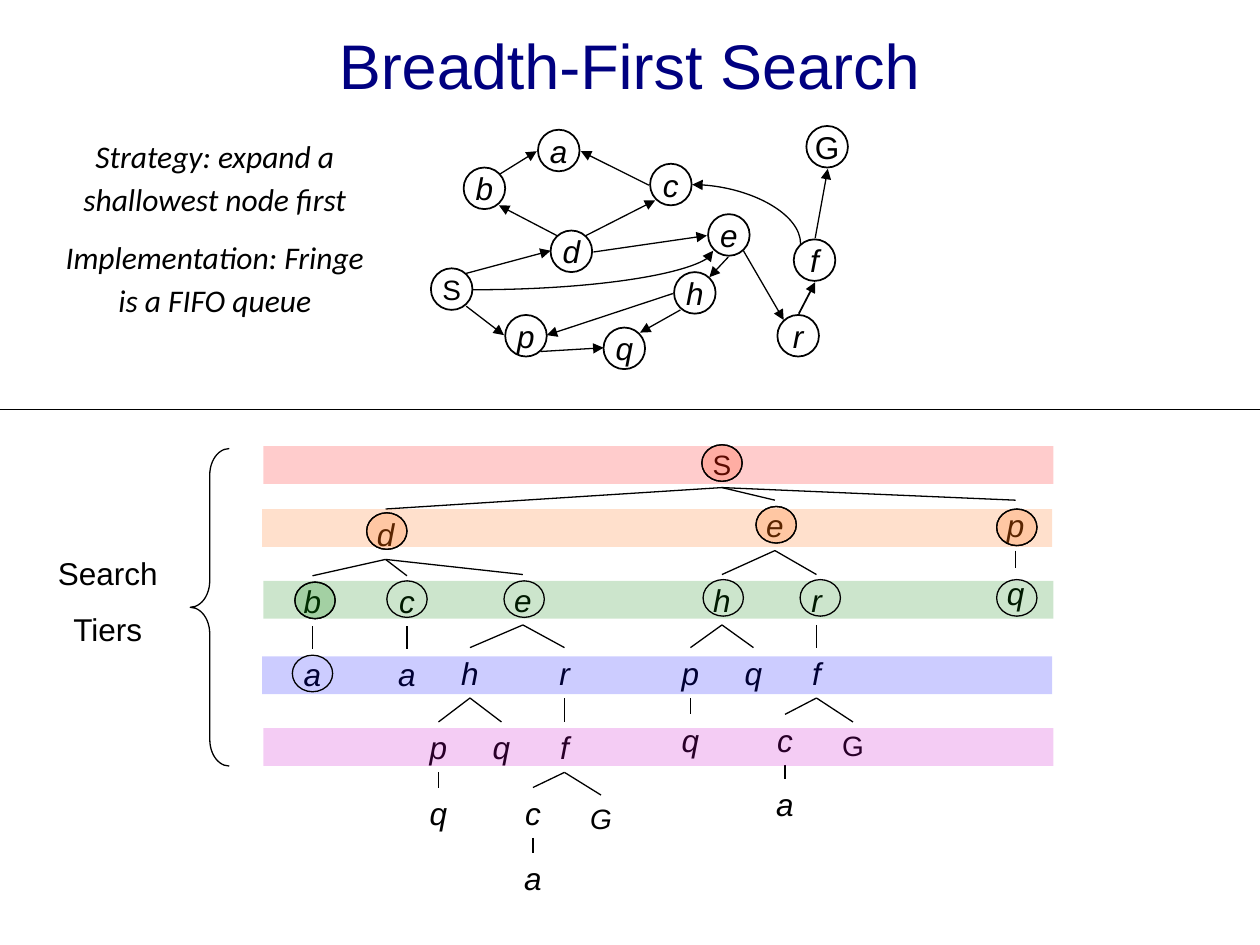
from pptx import Presentation
from pptx.dml.color import RGBColor
from pptx.enum.shapes import MSO_CONNECTOR, MSO_SHAPE
from pptx.enum.text import MSO_ANCHOR, PP_ALIGN
from pptx.oxml.ns import qn
from pptx.util import Cm, Pt
from lxml.etree import SubElement

HUES = {"ink": "000000", "title": "000080", "red": "FF0000", "rose": "FF3300",
        "orange": "FF6600", "green": "008000", "blue": "0000FF", "pink": "CC00CC"}


def inch(*nums):
    return [Cm(2.54 * n) for n in nums]


def hue(name):
    return RGBColor.from_string(HUES[name])


class Deck:
    font = "Arial"
    tint = 20  # opacity of overlays, percent

    def __init__(self):
        self.prs = Presentation()
        self.prs.slide_width, self.prs.slide_height = inch(10, 7.5)
        self.slide = self.prs.slides.add_slide(self.prs.slide_layouts[6])
        self.shapes = self.slide.shapes

    def label(self, frame, lines, look, wrap=True, mid=False, para=None):
        frame.word_wrap = wrap
        frame.vertical_anchor = MSO_ANCHOR.MIDDLE if mid else MSO_ANCHOR.TOP
        for i, line in enumerate(lines):
            p = frame.paragraphs[0] if i == 0 else frame.add_paragraph()
            for name, val in {"alignment": PP_ALIGN.CENTER, **(para or {})}.items():
                setattr(p, name, val)
            run = p.add_run()
            run.text = line
            style = {"name": self.font, "size": Pt(18), "italic": False, **look}
            for name, val in style.items():
                if name == "color":
                    run.font.color.rgb = hue(val)
                else:
                    setattr(run.font, name, val)

    def text(self, at, lines, look=None, mid=False, para=None):
        box = self.shapes.add_textbox(*inch(*at))
        self.label(box.text_frame, lines, {"color": "ink", **(look or {})},
                   mid=mid, para=para)
        return box

    def shape(self, kind, at, fill=None, width=0.75):
        item = self.shapes.add_shape(kind, *inch(*at))
        item.shadow.inherit = False
        if fill:
            item.fill.solid()
            item.fill.fore_color.rgb = hue(fill)
            clr = item._element.spPr.find(".//" + qn("a:srgbClr"))
            SubElement(clr, qn("a:alpha")).set("val", str(self.tint * 1000))
        else:
            item.fill.background()
        if width:
            item.line.color.rgb = hue("ink")
            item.line.width = Pt(width)
        else:
            item.line.fill.background()
        return item

    def node(self, name, x, y):
        item = self.shape(MSO_SHAPE.FLOWCHART_CONNECTOR, (x, y, 0.33, 0.33), width=1)
        look = {"color": "ink", "italic": name.islower()}
        if name == "S":
            look["size"] = Pt(16)
        self.label(item.text_frame, [name], look, wrap=False, mid=True)

    def line(self, ends, head=False, width=0.75, kind=MSO_CONNECTOR.STRAIGHT):
        link = self.shapes.add_connector(kind, *inch(*ends))
        link.line.color.rgb = hue("ink")
        link.line.width = Pt(width)
        props = link._element.spPr
        if head:
            SubElement(props.find(qn("a:ln")), qn("a:tailEnd")).set("type", "triangle")
        SubElement(props, qn("a:effectLst"))
        return link

    def curve(self, ends, turn=0):
        props = self.line(ends, head=True, kind=MSO_CONNECTOR.CURVE)._element.spPr
        props.find(qn("a:prstGeom")).set("prst", "curvedConnector2")
        props.find(qn("a:xfrm")).set("rot", str(turn * 60000))

    def join(self, top, low):
        link = self.line((0, 0, 1, 1))
        link.begin_connect(top, 2)
        link.end_connect(low, 0)


# State graph: circle corners, then arrow ends
NODES = {
    "S": (3.42, 2.13), "G": (6.4, 1), "d": (4.37, 1.83), "b": (3.68, 1.33),
    "p": (4.01, 2.5), "q": (4.79, 2.6), "c": (5.16, 1.3), "e": (5.62, 1.7),
    "h": (5.35, 2.16), "a": (4.27, 1.03), "f": (6.3, 1.9), "r": (6.17, 2.5),
}
ARROWS = [
    (3.7, 2.43, 4, 2.66), (4.29, 2.79, 4.79, 2.76), (5.4, 2.46, 5.08, 2.64),
    (5.34, 2.33, 4.34, 2.66), (5.78, 2.04, 5.63, 2.2), (5.9, 1.99, 6.22, 2.54),
    (6.47, 1.89, 6.57, 1.34), (3.7, 2.17, 4.37, 1.99), (4.42, 1.87, 3.96, 1.63),
    (3.97, 1.38, 4.26, 1.2), (5.15, 1.47, 4.61, 1.2), (4.65, 1.87, 5.2, 1.59),
    (4.71, 2, 5.61, 1.87),
]

# Search tree: each key is the route from the root; values are centre and top
TREE = {
    "S": (5.73, 3.5),
    "Sd": (3.06, 4.04), "Se": (6.15, 3.97), "Sp": (8.06, 3.97),
    "Sdb": (2.48, 4.57), "Sdc": (3.23, 4.57), "Sde": (4.15, 4.56),
    "Seh": (5.73, 4.56), "Ser": (6.48, 4.56), "Spq": (8.06, 4.51),
    "Sdba": (2.48, 5.15), "Sdca": (3.23, 5.15), "Sdeh": (3.73, 5.14),
    "Sder": (4.48, 5.14), "Sehp": (5.48, 5.14), "Sehq": (5.98, 5.14),
    "Serf": (6.48, 5.14),
    "Sdehp": (3.48, 5.73), "Sdehq": (3.98, 5.73), "Sderf": (4.48, 5.73),
    "Sehpq": (5.48, 5.67), "Serfc": (6.23, 5.67), "SerfG": (6.77, 5.73),
    "Sdehpq": (3.48, 6.25), "Sderfc": (4.23, 6.25), "SderfG": (4.77, 6.31),
    "Serfca": (6.23, 6.18), "Sderfca": (4.23, 6.77),
}
WIDE = {"S": 1.08, "G": 0.83}

BANDS = [("red", 2.09, 3.54), ("orange", 2.08, 4.04), ("green", 2.09, 4.61),
         ("blue", 2.08, 5.21), ("pink", 2.09, 5.78)]
RINGS = [  # corner and, where the state is shaded, its colour
    (5.57, 3.53, "rose"), (2.91, 4.07, "orange"), (6, 4.02, "orange"),
    (7.91, 4.04, "orange"), (2.34, 4.62, "green"), (3.07, 4.61, None),
    (4, 4.61, None), (5.58, 4.6, None), (6.35, 4.6, None), (7.91, 4.6, None),
    (2.32, 5.2, None),
]


def main():
    deck = Deck()

    # Title and strategy
    deck.text((0.5, 0.17, 8.99, 0.6), ["Breadth-First Search"],
              {"size": Pt(36), "color": "title"}, mid=True, para={"line_spacing": 1.13})
    deck.text((0.41, 1, 2.59, 1.6),
              ["Strategy: expand a shallowest node first",
               "Implementation: Fringe is a FIFO queue"],
              {"name": "Calibri", "italic": True},
              para={"line_spacing": 1.13, "space_before": Pt(9)})

    # State graph
    for name, spot in NODES.items():
        deck.node(name, *spot)
    for ends in ARROWS:
        deck.line(ends, head=True)
    deck.line((6.34, 2.49, 6.47, 2.24), head=True, width=1)
    deck.curve((6.16, 1.27, 5.69, 2.13), turn=90)
    deck.curve((3.75, 2.3, 5.66, 1.99))

    # Divider
    deck.line((0, 3.25, 10, 3.25))

    # Search tree
    boxes = {}
    for route, (mid, top) in TREE.items():
        name = route[-1]
        wide = WIDE.get(name, 0.42)
        small = name in WIDE
        look = {"size": Pt(16 if small else 18),
                "italic": not small or route == "SderfG"}
        at = (mid - wide / 2, top, wide, 0.37 if small else 0.4)
        boxes[route] = deck.text(at, [name], look)
    for route in list(TREE)[1:]:
        deck.join(boxes[route[:-1]], boxes[route])

    # Tiers
    for fill, x, y in BANDS:
        deck.shape(MSO_SHAPE.RECTANGLE, (x, y, 6.27, 0.3), fill, width=0)
    brace = deck.shape(MSO_SHAPE.LEFT_BRACE, (1.51, 3.56, 0.31, 2.52))
    brace.adjustments[0] = 0.68
    deck.text((0.33, 4.35, 1.05, 0.86), ["Search", "Tiers"],
              para={"space_before": Pt(10)})

    # Rings, then shading on the expanded states
    for x, y, _ in RINGS:
        deck.shape(MSO_SHAPE.OVAL, (x, y, 0.32, 0.29))
    for x, y, fill in RINGS:
        if fill:
            deck.shape(MSO_SHAPE.OVAL, (x, y, 0.32, 0.29), fill)

    deck.prs.save("out.pptx")


if __name__ == "__main__":
    main()
